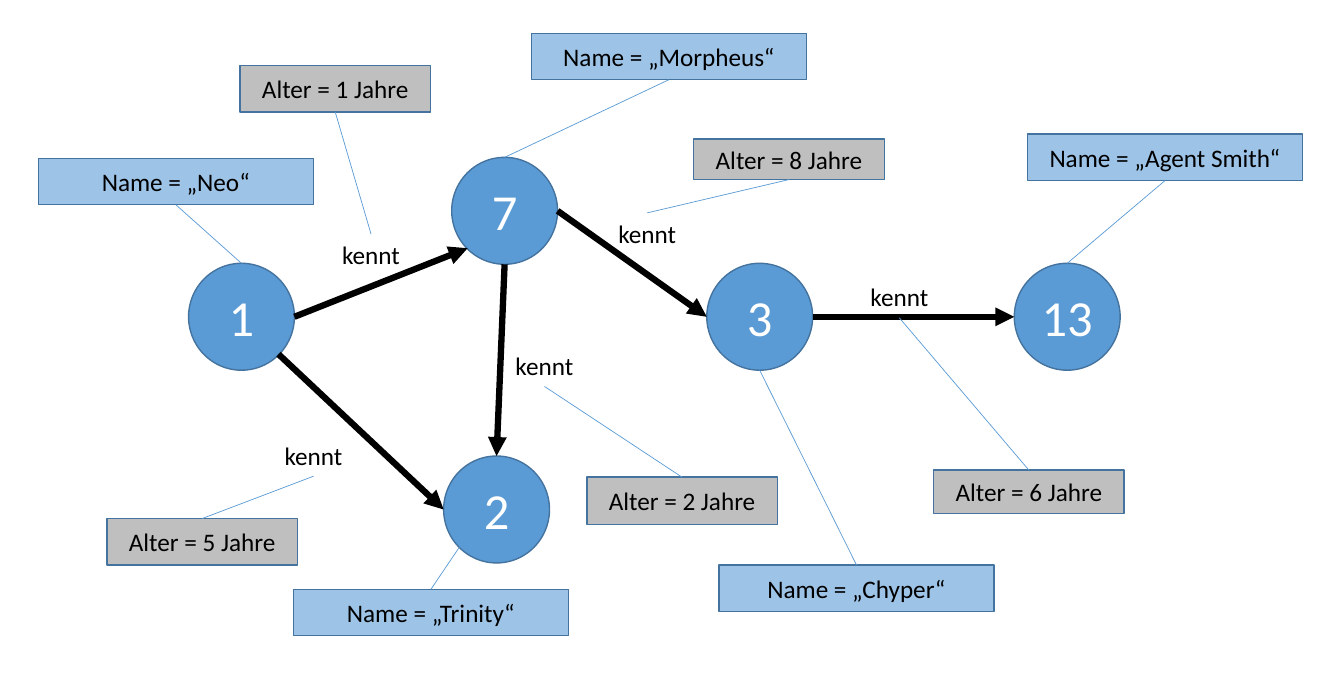
"""Draw a property graph of people who know each other."""
import pptx
import pptx.dml.color
import pptx.enum.shapes
import pptx.enum.text
import pptx.oxml.ns
import pptx.oxml.xmlchemy
import pptx.util

Inches = pptx.util.Inches
Pt = pptx.util.Pt
KIND = pptx.enum.shapes.MSO_SHAPE
BLUE, EDGE, PALE, GREY = "5B9BD5", "43739E", "9DC3E6", "BFBFBF"
TOP, LEFT, BOTTOM, RIGHT = (0.5, 0), (0, 0.5), (0.5, 1), (1, 0.5)
LOW_LEFT, LOW_RIGHT = (0.15, 0.85), (0.85, 0.85)

NODES = {
    "13": (10.06, 2.61),
    "3": (7.01, 2.61),
    "7": (4.48, 1.56),
    "2": (4.4, 4.52),
    "1": (1.87, 2.61),
}
NAMES = [
    ("Morpheus", 5.27, 0.33, BOTTOM, "7", TOP),
    ("Neo", 0.38, 1.57, BOTTOM, "1", TOP),
    ("Trinity", 2.91, 5.84, TOP, "2", LOW_LEFT),
    ("Agent Smith", 10.19, 1.33, BOTTOM, "13", TOP),
    ("Chyper", 7.13, 5.6, TOP, "3", BOTTOM),
]
ARROWS = [
    ("1", RIGHT, "7", LOW_LEFT),
    ("7", RIGHT, "3", LEFT),
    ("1", LOW_RIGHT, "2", LEFT),
    ("7", BOTTOM, "2", TOP),
    ("3", RIGHT, "13", LEFT),
]
AGES = [
    (8, (6.88, 1.38, 1.89, 0.4), BOTTOM, (5.27, 2.11), TOP),
    (6, (9.26, 4.66, 1.89, 0.43), TOP, (7.77, 2.74), BOTTOM),
    (5, (1.06, 5.14, 1.89, 0.46), TOP, (1.96, 4.31), BOTTOM),
    (2, (5.82, 4.73, 1.89, 0.47), TOP, (4.25, 3.42), BOTTOM),
    (1, (2.38, 0.65, 1.89, 0.46), BOTTOM, (2.53, 2.32), TOP),
]


def paint(target, color):
    """Give a fill or line format a solid colour."""
    target.fill.solid()
    target.fill.fore_color.rgb = pptx.dml.color.RGBColor.from_string(color)


def write(shape, text, size=18, color="000000"):
    """Put one centred line of text in a shape."""
    frame = shape.text_frame
    frame.word_wrap = True
    line = frame.paragraphs[0]
    line.alignment = pptx.enum.text.PP_ALIGN.CENTER
    run = line.add_run()
    run.text = text
    run.font.name = "Calibri"
    run.font.size = Pt(size)
    paint(run.font, color)


def block(slide, kind, box, fill, text, **format):
    """Add an outlined shape with text."""
    shape = slide.shapes.add_shape(kind, *map(Inches, box))
    shape.shadow.inherit = False
    paint(shape, fill)
    paint(shape.line, EDGE)
    shape.line.width = Pt(1)
    shape.text_frame.vertical_anchor = pptx.enum.text.MSO_ANCHOR.MIDDLE
    write(shape, text, **format)
    return shape


def label(slide, left, top):
    """Add the caption of a relation."""
    shape = slide.shapes.add_textbox(*map(Inches, (left, top, 2.3, 0.41)))
    write(shape, "kennt")
    shape.text_frame.auto_size = pptx.enum.text.MSO_AUTO_SIZE.SHAPE_TO_FIT_TEXT
    return shape


def spot(shape, site):
    """Return the point at a fractional site of a shape."""
    return (
        int(shape.left + shape.width * site[0]),
        int(shape.top + shape.height * site[1]),
    )


def link(slide, start, end, color=BLUE, width=0.5, arrow=False):
    """Join two points with a straight line."""
    line = slide.shapes.add_connector(
        pptx.enum.shapes.MSO_CONNECTOR.STRAIGHT, *start, *end
    )
    paint(line.line, color)
    line.line.width = Pt(width)
    make = pptx.oxml.xmlchemy.OxmlElement
    props = line._element.find(pptx.oxml.ns.qn("p:spPr"))
    if arrow:
        head = make("a:tailEnd")
        head.set("type", "triangle")
        props.find(pptx.oxml.ns.qn("a:ln")).append(head)
    props.append(make("a:effectLst"))


def main():
    """Build and save the slide."""
    deck = pptx.Presentation()
    deck.slide_width, deck.slide_height = Inches(13.33), Inches(6.69)
    slide = deck.slides.add_slide(deck.slide_layouts[6])
    nodes = {
        key: block(slide, KIND.OVAL, (*place, 1.05, 1.06), BLUE, key,
                   size=36, color="FFFFFF")
        for key, place in NODES.items()
    }
    for source, exit, target, entry in ARROWS:
        link(slide, spot(nodes[source], exit), spot(nodes[target], entry),
             color="000000", width=4.5, arrow=True)
    for name, left, top, site, key, entry in NAMES:
        tag = block(slide, KIND.RECTANGLE, (left, top, 2.73, 0.46), PALE,
                    f"Name = „{name}“")
        link(slide, spot(tag, site), spot(nodes[key], entry))
    for years, box, site, place, entry in AGES:
        word = label(slide, *place)
        tag = block(slide, KIND.RECTANGLE, box, GREY, f"Alter = {years} Jahre")
        link(slide, spot(tag, site), spot(word, entry))
    deck.save("out.pptx")


main()
